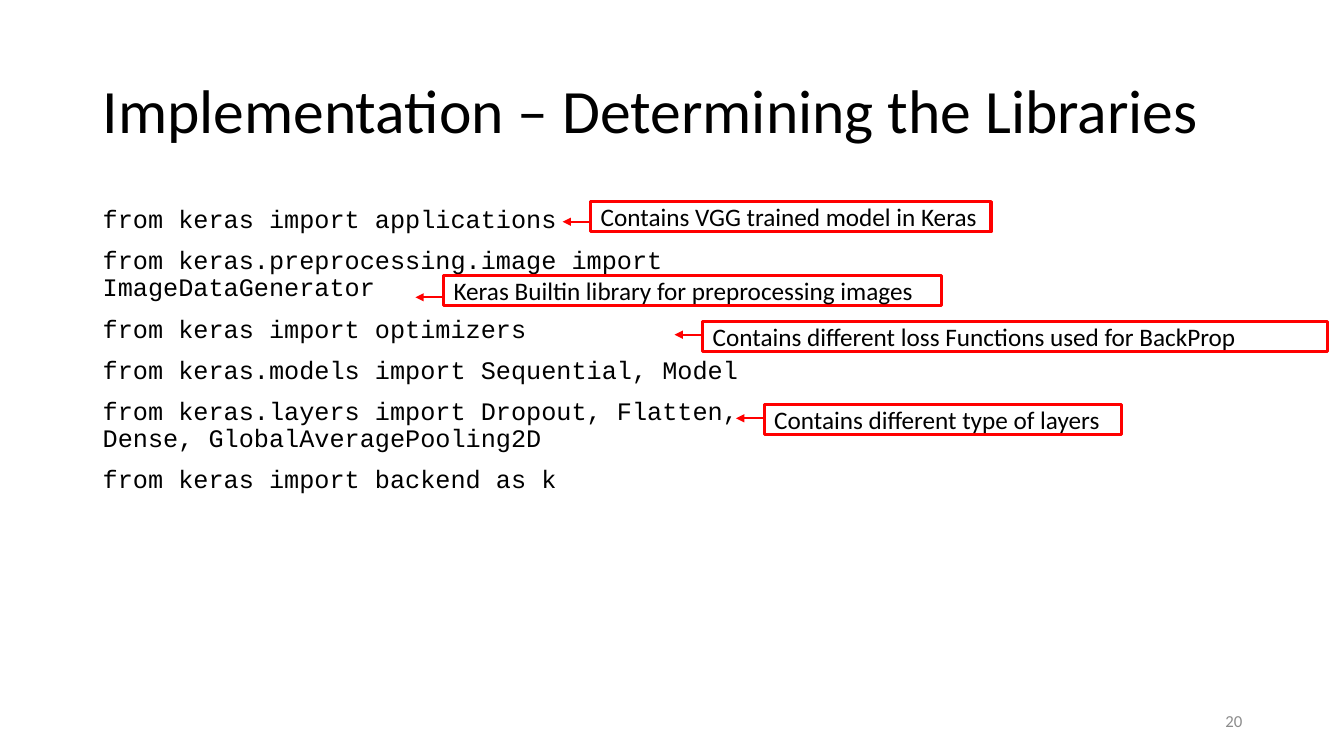
from dataclasses import dataclass

from lxml import etree
from pptx import Presentation
from pptx.dml.color import RGBColor
from pptx.enum.shapes import MSO_CONNECTOR, MSO_SHAPE
from pptx.enum.text import MSO_ANCHOR, MSO_AUTO_SIZE, PP_ALIGN
from pptx.oxml.ns import qn
from pptx.util import Inches, Pt

STRAIGHT = MSO_CONNECTOR.STRAIGHT
RECTANGLE = MSO_SHAPE.RECTANGLE
TOP, MIDDLE = MSO_ANCHOR.TOP, MSO_ANCHOR.MIDDLE
LEFT, RIGHT = PP_ALIGN.LEFT, PP_ALIGN.RIGHT
GROW = MSO_AUTO_SIZE.SHAPE_TO_FIT_TEXT

SLIDE_WIDTH = Inches(13.33)
SLIDE_HEIGHT = Inches(7.5)


@dataclass(frozen=True)
class Font:
    """Typeface, size in points and colour of a text role."""
    name: str
    size: int
    color: RGBColor


class Theme:
    """Colours, type and line widths of the slide."""
    BLACK = RGBColor(0x00, 0x00, 0x00)
    GRAY = RGBColor(0x8C, 0x8C, 0x8C)
    RED = RGBColor(0xFF, 0x00, 0x00)
    TITLE = Font("Calibri", 44, BLACK)
    CODE = Font("Courier New", 18, BLACK)
    NOTE = Font("Calibri", 18, BLACK)
    NUMBER = Font("Calibri", 12, GRAY)
    FRAME_WIDTH = Pt(2.25)
    ARROW_WIDTH = Pt(1.5)
    LINE_SPACING = 0.9
    PARAGRAPH_GAP = Pt(10)


MARGIN = 6.9
NOTE_HEIGHT = 4
ARROW_LENGTH = 2.1

IMPORTS = [
    "from keras import applications",
    "from keras.preprocessing.image import ImageDataGenerator",
    "from keras import optimizers",
    "from keras.models import Sequential, Model",
    "from keras.layers import Dropout, Flatten, Dense, GlobalAveragePooling2D",
    "from keras import backend as k",
]

NOTES = [
    ("Contains VGG trained model in Keras", 43.96, 26.67, 29.78, 29.33),
    ("Keras Builtin library for preprocessing images", 33.01, 36.4, 37.06, 39.33),
    ("Contains different loss Functions used for BackProp", 52.29, 42.53, 46.51, 44.27),
    ("Contains different type of layers", 56.86, 53.47, 26.56, 55.33),
]


def across(percent):
    """Return a share of the slide width."""
    return round(SLIDE_WIDTH * percent / 100)


def down(percent):
    """Return a share of the slide height."""
    return round(SLIDE_HEIGHT * percent / 100)


def place(left, top, width, height):
    """Convert a box given in percent to slide lengths."""
    return across(left), down(top), across(width), down(height)


def write(shape, lines, font, anchor=TOP, alignment=LEFT, line_spacing=1.0):
    """Fill a shape with one formatted paragraph per line."""
    frame = shape.text_frame
    frame.word_wrap = True
    frame.vertical_anchor = anchor
    frame.text = "\n".join(lines)
    for index, paragraph in enumerate(frame.paragraphs):
        paragraph.alignment = alignment
        paragraph.line_spacing = line_spacing
        if index:
            paragraph.space_before = Theme.PARAGRAPH_GAP
        for run in paragraph.runs:
            run.font.name = font.name
            run.font.size = Pt(font.size)
            run.font.color.rgb = font.color


def add_text(slide, box, lines, font, **layout):
    """Add a text box at a box given in percent."""
    write(slide.shapes.add_textbox(*place(*box)), lines, font, **layout)


def add_arrow(slide, start, height):
    """Add a red arrow that points left from a note."""
    arrow = slide.shapes.add_connector(
        STRAIGHT, across(start), down(height),
        across(start - ARROW_LENGTH), down(height))
    arrow.line.color.rgb = Theme.RED
    arrow.line.width = Theme.ARROW_WIDTH
    etree.SubElement(arrow.line._get_or_add_ln(), qn("a:tailEnd"), type="triangle")
    etree.SubElement(arrow._element.spPr, qn("a:effectLst"))


def add_note(slide, text, left, top, width, arrow_height):
    """Add a red framed note with its arrow."""
    note = slide.shapes.add_shape(RECTANGLE, *place(left, top, width, NOTE_HEIGHT))
    note.shadow.inherit = False
    note.fill.background()
    note.line.color.rgb = Theme.RED
    note.line.width = Theme.FRAME_WIDTH
    write(note, [text], Theme.NOTE)
    note.text_frame.margin_top = note.text_frame.margin_bottom = 0
    note.text_frame.auto_size = GROW
    add_arrow(slide, left, arrow_height)


def main():
    """Build and save the slide."""
    presentation = Presentation()
    presentation.slide_width = SLIDE_WIDTH
    presentation.slide_height = SLIDE_HEIGHT
    slide = presentation.slides.add_slide(presentation.slide_layouts[6])
    add_text(slide, (MARGIN, 5.33, 86.27, 19.33),
             ["Implementation – Determining the Libraries"], Theme.TITLE,
             anchor=MIDDLE, line_spacing=Theme.LINE_SPACING)
    add_text(slide, (MARGIN, 26.67, 52.44, 63.47), IMPORTS, Theme.CODE,
             line_spacing=Theme.LINE_SPACING)
    add_text(slide, (70.67, 92.67, 22.5, 5.33), ["20"], Theme.NUMBER,
             anchor=MIDDLE, alignment=RIGHT)
    for note in NOTES:
        add_note(slide, *note)
    presentation.save("out.pptx")


if __name__ == "__main__":
    main()
